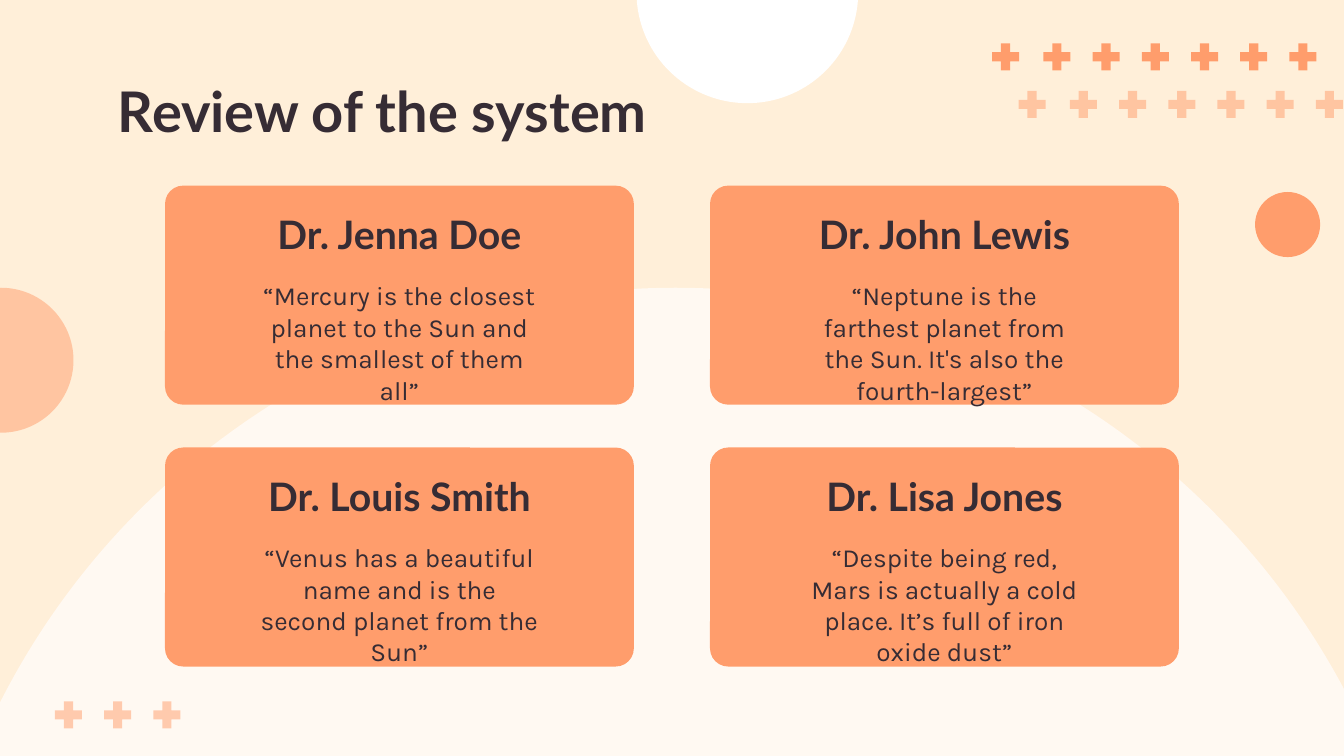
from lxml import etree
from pptx import Presentation
from pptx.dml.color import RGBColor
from pptx.enum.shapes import MSO_SHAPE
from pptx.enum.text import MSO_ANCHOR, PP_ALIGN
from pptx.oxml.ns import qn
from pptx.util import Cm, Pt

OVAL = MSO_SHAPE.OVAL
PIE = MSO_SHAPE.PIE
PLUS = MSO_SHAPE.CROSS
CARD = MSO_SHAPE.ROUNDED_RECTANGLE
LEFT = PP_ALIGN.LEFT
MID = PP_ALIGN.CENTER
TOP = MSO_ANCHOR.TOP

HUES = {"sand": "FFEFD9", "peach": "FF9D6C", "white": "FFFFFF", "ink": "362C34"}
HEAD = "Lato"
BODY = "Karla"

CARDS = [
    ("Dr. Jenna Doe",
     "“Mercury is the closest planet to the Sun and the smallest of them all”"),
    ("Dr. John Lewis",
     "“Neptune is the farthest planet from the Sun. It's also the fourth-largest”"),
    ("Dr. Louis Smith",
     "“Venus has a beautiful name and is the second planet from the Sun”"),
    ("Dr. Lisa Jones",
     "“Despite being red, Mars is actually a cold place. It’s full of iron oxide dust”"),
]


class Deck:
    def __init__(self, slide):
        self.slide = slide
        self.paint(slide.background.fill, "sand")

    def paint(self, fill, hue):
        fill.solid()
        fill.fore_color.rgb = RGBColor.from_string(HUES[hue])

    def shape(self, kind, x, y, w, h, hue="peach", alpha=100, adj=()):
        item = self.slide.shapes.add_shape(kind, Cm(x), Cm(y), Cm(w), Cm(h))
        item.shadow.inherit = False
        item.line.fill.background()
        self.paint(item.fill, hue)
        for i, value in enumerate(adj):
            item.adjustments[i] = value
        if alpha < 100:
            tint = next(item.element.spPr.iter(qn("a:srgbClr")))
            etree.SubElement(tint, qn("a:alpha"), val=str(alpha * 1000))
        return item

    def disc(self, x, y, size, **look):
        self.shape(OVAL, x, y, size, size, **look)

    def pluses(self, x, y, count, alpha=100):
        for i in range(count):
            self.shape(PLUS, x + 0.93 * i, y, 0.51, 0.51, alpha=alpha, adj=[0.33])

    def text(self, words, x, y, w, h, size=14, face=BODY, bold=False, align=MID):
        frame = self.slide.shapes.add_textbox(Cm(x), Cm(y), Cm(w), Cm(h)).text_frame
        frame.word_wrap = True
        frame.vertical_anchor = TOP
        frame.margin_left = frame.margin_right = Cm(0.25)
        frame.margin_top = frame.margin_bottom = Cm(0.25)
        para = frame.paragraphs[0]
        para.alignment = align
        run = para.add_run()
        run.text = words
        run.font.size = Pt(size)
        run.font.name = face
        run.font.bold = bold
        run.font.color.rgb = RGBColor.from_string(HUES["ink"])

    def card(self, x, y):
        self.shape(CARD, x, y, 8.86, 4.14, adj=[0.083])

    def quote(self, name, words, x, y):
        self.text(words, x + 1.51, y + 1.53, 5.84, 2.01)
        self.text(name, x + 1.51, y + 0.21, 5.84, 1.07, size=21, face=HEAD, bold=True)


def main():
    show = Presentation()
    show.slide_width = Cm(25.4)
    show.slide_height = Cm(14.29)
    deck = Deck(show.slides.add_slide(show.slide_layouts[6]))

    for x, y, alpha in [(19.25, 1.72, 51), (18.75, 0.82, 100)]:
        deck.pluses(x, y, 1, alpha)
        deck.pluses(x + 0.97, y, 6, alpha)
    hill = deck.shape(PIE, -1.55, 5.44, 28.63, 28.63, hue="white", alpha=66,
                      adj=[54.16, 162])
    hill.rotation = 90
    deck.pluses(1.04, 13.26, 3, 51)
    deck.disc(-1.35, 5.44, 2.74, alpha=51)
    deck.disc(23.72, 3.63, 1.23)
    deck.disc(12.03, -2.24, 4.19, hue="white")

    spots = [(3.12 + 10.3 * (i % 2), 3.51 + 4.95 * (i // 2)) for i in range(len(CARDS))]
    for x, y in spots:
        deck.card(x, y)
    deck.text("Review of the system", 1.98, 1.19, 21.44, 1.3, size=30, face=HEAD,
              bold=True, align=LEFT)
    for (name, words), (x, y) in zip(CARDS, spots):
        deck.quote(name, words, x, y)
    show.save("out.pptx")


if __name__ == "__main__":
    main()
